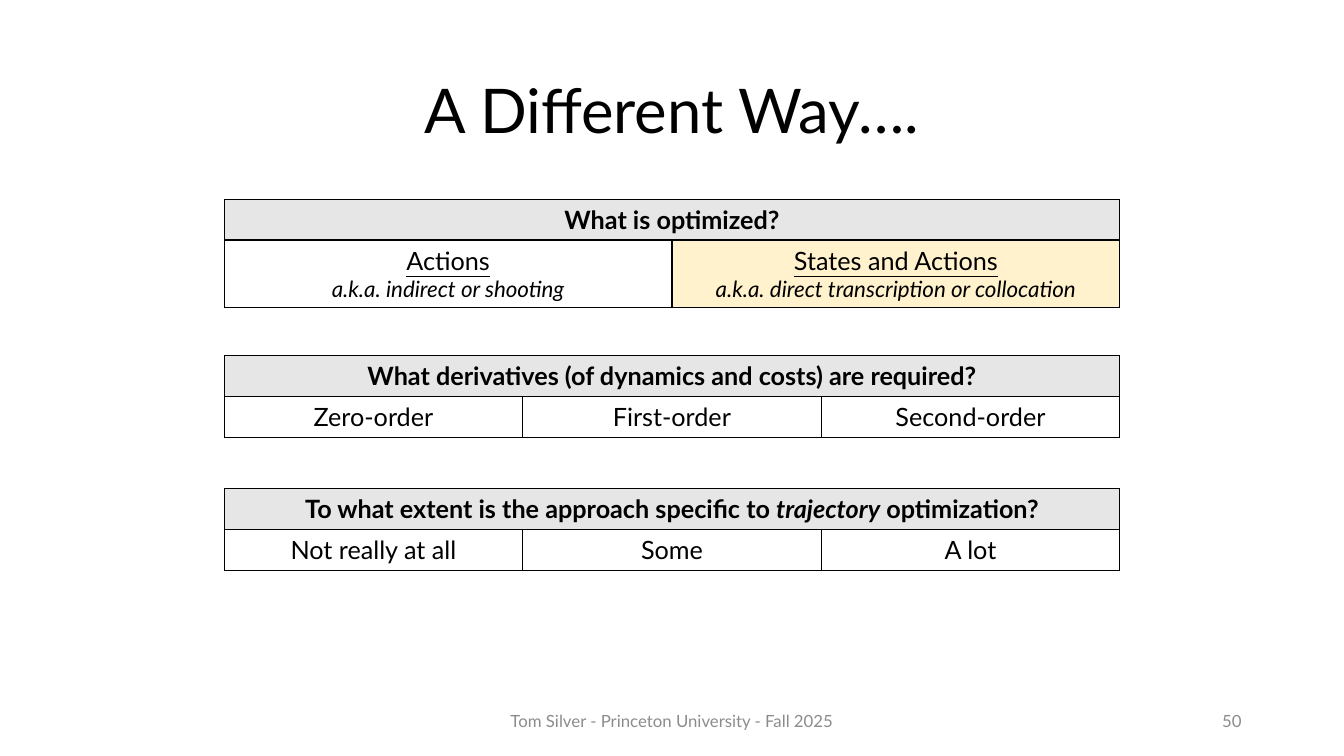
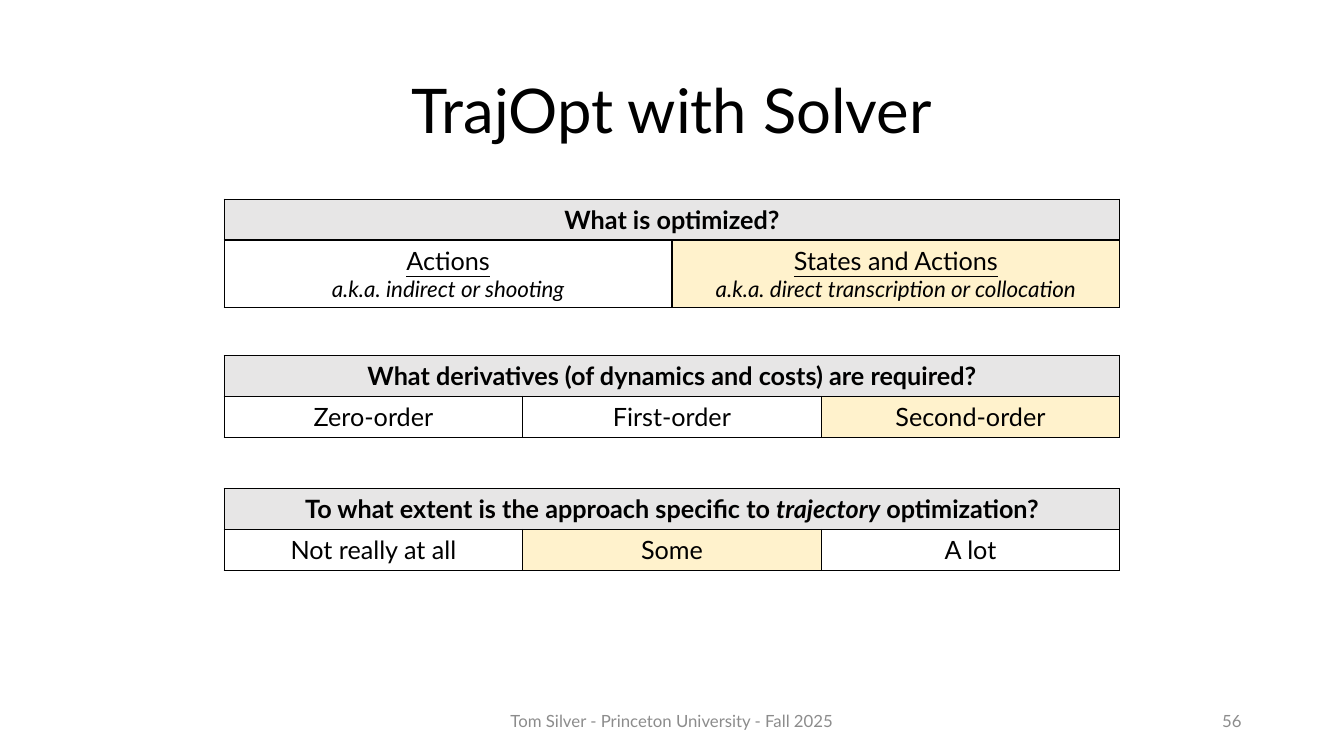
from lxml import etree
from pptx import Presentation
from pptx import util as u
from pptx.dml.color import RGBColor
from pptx.enum import text
from pptx.oxml.ns import qn

FONT = "Lato"
COLORS = {
    "ink": "000000",
    "muted": "8C8C8C",
    "header": "E7E6E6",
    "plain": "FFFFFF",
    "highlight": "FFF2CC",
}
SLIDE_WIDTH, SLIDE_HEIGHT = 33.87, 19.05
TABLE_WIDTH = 22.57
TABLE_LEFT = (SLIDE_WIDTH - TABLE_WIDTH) / 2
ROW_HEIGHT, TALL_ROW_HEIGHT = 1.03, 1.68
FOOTER = "Tom Silver - Princeton University - Fall 2025"


def two_lines(name, alias):
    return [[(name, {"underline": True})], [(alias, {"size": 16, "italic": True})]]


# Each question: table top, header, answers, height of the answer row
QUESTIONS = [
    (5.02, "What is optimized?",
     [two_lines("Actions", "a.k.a. indirect or shooting"),
      two_lines("States and Actions", "a.k.a. direct transcription or collocation")],
     TALL_ROW_HEIGHT),
    (8.96, "What derivatives (of dynamics and costs) are required?",
     ["Zero-order", "First-order", "Second-order"], ROW_HEIGHT),
    (12.31,
     [[("To what extent is the approach specific to ", {}),
       ("trajectory", {"italic": True}),
       (" optimization?", {})]],
     ["Not really at all", "Some", "A lot"], ROW_HEIGHT),
]

# Each slide: title, number, index of the highlighted answer per question
SLIDES = [
    ("A Different Way….", "50", (1, None, None)),
    ("TrajOpt with Solver", "56", (1, 2, 1)),
]


def write_text(frame, content, align="CENTER", line_spacing=None, **run_format):
    """Write a string, or a list of paragraphs made of (text, format) runs."""
    paragraphs = [[(content, {})]] if isinstance(content, str) else content
    for index, runs in enumerate(paragraphs):
        paragraph = frame.add_paragraph() if index else frame.paragraphs[0]
        paragraph.alignment = getattr(text.PP_ALIGN, align)
        if line_spacing:
            paragraph.line_spacing = line_spacing
        for words, overrides in runs:
            run = paragraph.add_run()
            run.text = words
            settings = {"size": 18, "color": "ink", **run_format, **overrides}
            run.font.name = FONT
            run.font.size = u.Pt(settings["size"])
            run.font.color.rgb = RGBColor.from_string(COLORS[settings["color"]])
            run.font.bold = settings.get("bold", False)
            run.font.italic = settings.get("italic", False)
            run.font.underline = settings.get("underline", False)


def add_text_box(slide, left, top, width, height, content, **text_format):
    box = slide.shapes.add_textbox(u.Cm(left), u.Cm(top), u.Cm(width), u.Cm(height))
    box.text_frame.word_wrap = True
    box.text_frame.vertical_anchor = text.MSO_ANCHOR.MIDDLE
    write_text(box.text_frame, content, **text_format)


def style_cell(cell, fill):
    """Give a cell a thin border on every side and a solid fill."""
    properties = cell._tc.get_or_add_tcPr()
    for side in ("lnL", "lnR", "lnT", "lnB"):
        line = etree.SubElement(properties, qn(f"a:{side}"), w=str(u.Pt(1)))
        solid = etree.SubElement(line, qn("a:solidFill"))
        etree.SubElement(solid, qn("a:srgbClr"), val=COLORS["ink"])
    cell.fill.solid()
    cell.fill.fore_color.rgb = RGBColor.from_string(COLORS[fill])


def add_question_table(slide, top, question, answers, answer_height, chosen):
    count = len(answers)
    table = slide.shapes.add_table(
        2, count, u.Cm(TABLE_LEFT), u.Cm(top),
        u.Cm(TABLE_WIDTH), u.Cm(ROW_HEIGHT + answer_height)).table
    table.rows[0].height = u.Cm(ROW_HEIGHT)
    table.rows[1].height = u.Cm(answer_height)
    for column, answer in enumerate(answers):
        table.columns[column].width = u.Cm(TABLE_WIDTH / count)
        style_cell(table.cell(0, column), "header")
        answer_cell = table.cell(1, column)
        style_cell(answer_cell, "highlight" if column == chosen else "plain")
        write_text(answer_cell.text_frame, answer)
    header = table.cell(0, 0)
    header.merge(table.cell(0, count - 1))
    write_text(header.text_frame, question, bold=True)


def add_title_and_footer(slide, title, number):
    add_text_box(slide, 2.33, 1.01, 29.21, 3.68, title, size=44, line_spacing=0.9)
    add_text_box(slide, 11.22, 17.66, 11.43, 1.01, FOOTER, size=12, color="muted")
    add_text_box(slide, 23.92, 17.66, 7.62, 1.01, number,
                 size=12, color="muted", align="RIGHT")


def main():
    presentation = Presentation()
    presentation.slide_width = u.Cm(SLIDE_WIDTH)
    presentation.slide_height = u.Cm(SLIDE_HEIGHT)
    for title, number, choices in SLIDES:
        slide = presentation.slides.add_slide(presentation.slide_layouts[6])
        add_title_and_footer(slide, title, number)
        for question, chosen in zip(QUESTIONS, choices):
            add_question_table(slide, *question, chosen)
    presentation.save("out.pptx")


if __name__ == "__main__":
    main()
